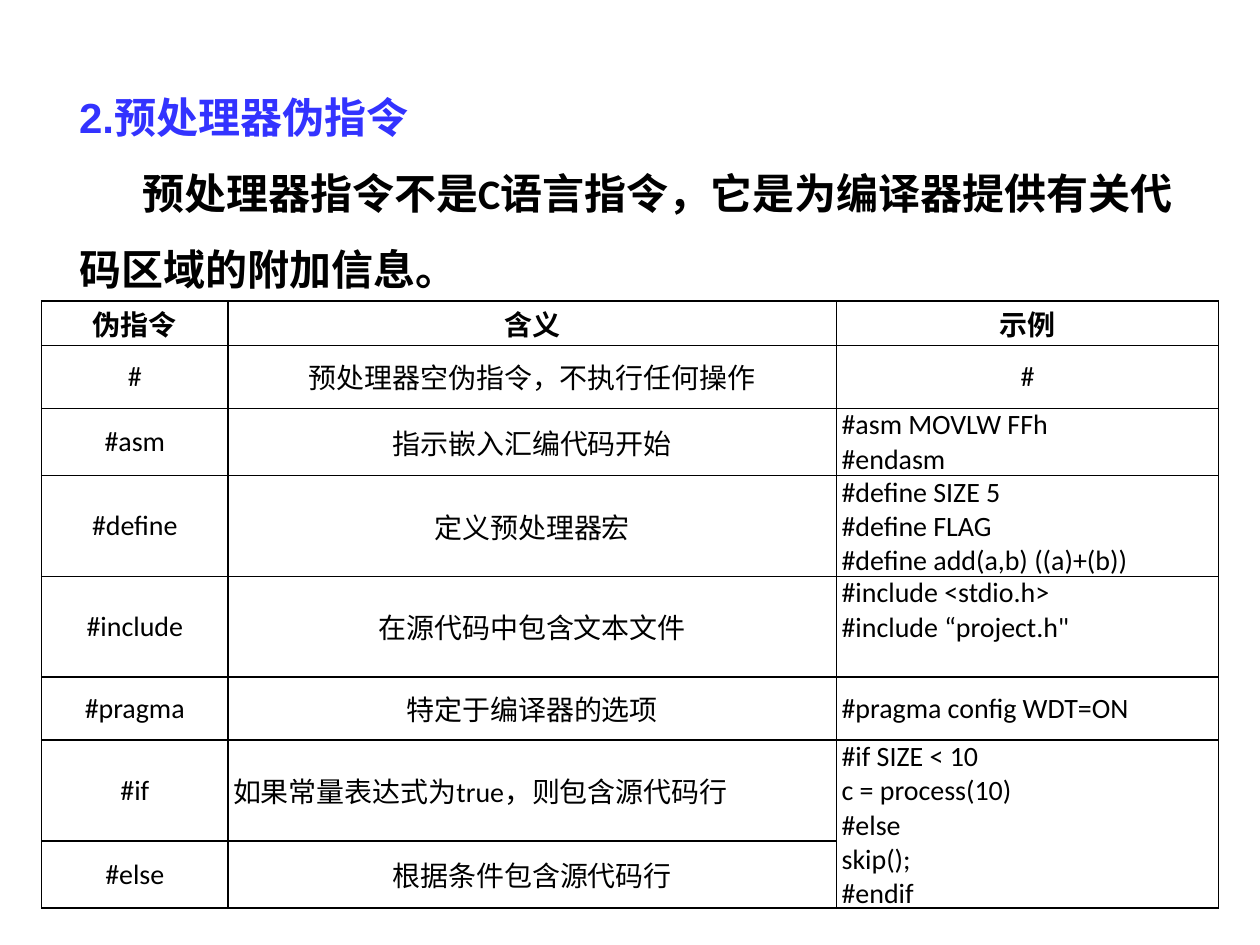
from pptx import Presentation
from pptx.dml.color import RGBColor
from pptx.enum.text import MSO_ANCHOR as Anchor, MSO_AUTO_SIZE as AutoSize, PP_ALIGN as Align
from pptx.oxml import parse_xml
from pptx.oxml.ns import nsdecls
from pptx.util import Inches, Pt

COLORS = {"heading": "3333FF", "text": "000000", "border": "000000"}
HEADING = {"size": Pt(24), "bold": True, "name": "Arial"}
BODY = {"size": Pt(24), "bold": True, "name": "Calibri"}
TABLE_HEAD = {"size": Pt(16), "bold": True, "name": "Calibri"}
TABLE_BODY = {"size": Pt(16), "bold": False, "name": "Calibri"}
CELL = {"margin_left": Inches(0.04), "margin_right": Inches(0.04),
        "margin_top": 0, "margin_bottom": 0}

# Boxes in inches: left, top, width, height
INTRO_BOX = (0.53, 0.48, 9.02, 1.82)
TABLE_BOX = (0.33, 2.39, 9.34, 4.81)
COL_WIDTHS = (1.48, 4.83, 3.03)
ROW_HEIGHTS = (0.35, 0.5, 0.53, 0.8, 0.8, 0.5, 0.8, 0.53)

INTRO = [
    ("2.预处理器伪指令", HEADING, "heading"),
    ("\t预处理器指令不是C语言指令，它是为编译器提供有关代码区域的附加信息。", BODY, "text"),
]
ROWS = [
    ("伪指令", "含义", "示例"),
    ("#", "预处理器空伪指令，不执行任何操作", "#"),
    ("#asm", "指示嵌入汇编代码开始", "#asm MOVLW FFh\n#endasm"),
    ("#define", "定义预处理器宏",
     "#define SIZE 5\n#define FLAG\n#define add(a,b) ((a)+(b))"),
    ("#include", "在源代码中包含文本文件", "#include <stdio.h>\n#include “project.h\""),
    ("#pragma", "特定于编译器的选项", "#pragma config WDT=ON"),
    ("#if", "如果常量表达式为true，则包含源代码行",
     "#if SIZE < 10\nc = process(10)\n#else\nskip();\n#endif"),
    ("#else", "根据条件包含源代码行", ""),
]
IF_ROW, INCLUDE_ROW, EXAMPLE_COL = 6, 4, 2
LEFT_ALIGNED = {(r, EXAMPLE_COL) for r in range(2, 7)} | {(IF_ROW, 1)}


def set_attrs(obj, values):
    for name, value in values.items():
        setattr(obj, name, value)


def add_run(p, text, font, color):
    r = p.add_run()
    r.text = text
    set_attrs(r.font, font)
    r.font.color.rgb = RGBColor.from_string(COLORS[color])


def add_borders(cell):
    tc_pr = cell._tc.get_or_add_tcPr()
    for i, side in enumerate(("lnL", "lnR", "lnT", "lnB")):
        tc_pr.insert(i, parse_xml(
            f'<a:{side} {nsdecls("a")} w="12700"><a:solidFill>'
            f'<a:srgbClr val="{COLORS["border"]}"/></a:solidFill></a:{side}>'))


def add_intro(s, box):
    tf = s.shapes.add_textbox(*map(Inches, box)).text_frame
    tf.word_wrap = True
    tf.auto_size = AutoSize.SHAPE_TO_FIT_TEXT
    for i, (text, font, color) in enumerate(INTRO):
        p = tf.add_paragraph() if i else tf.paragraphs[0]
        p.line_spacing = 1.5
        add_run(p, text, font, color)


def fill_cell(cell, text, font, align):
    set_attrs(cell, CELL)
    cell.vertical_anchor = Anchor.MIDDLE
    cell.fill.background()
    add_borders(cell)
    if not text:
        return
    for i, line in enumerate(text.split("\n")):
        p = cell.text_frame.add_paragraph() if i else cell.text_frame.paragraphs[0]
        p.alignment = align
        add_run(p, line, font, "text")


def add_directive_table(s, box):
    table = s.shapes.add_table(len(ROWS), len(COL_WIDTHS), *map(Inches, box)).table
    table.horz_banding = False
    for col, width in zip(table.columns, COL_WIDTHS):
        col.width = Inches(width)
    for row, height in zip(table.rows, ROW_HEIGHTS):
        row.height = Inches(height)
    for r, texts in enumerate(ROWS):
        for c, text in enumerate(texts):
            align = Align.LEFT if (r, c) in LEFT_ALIGNED else Align.CENTER
            fill_cell(table.cell(r, c), text, TABLE_BODY if r else TABLE_HEAD, align)
    # The two include lines sit at the top of their row
    table.cell(INCLUDE_ROW, EXAMPLE_COL).vertical_anchor = Anchor.TOP
    # One example covers both #if and #else
    table.cell(IF_ROW, EXAMPLE_COL).merge(table.cell(IF_ROW + 1, EXAMPLE_COL))


def main():
    prs = Presentation()
    prs.slide_width, prs.slide_height = Inches(10), Inches(7.5)
    s = prs.slides.add_slide(prs.slide_layouts[6])
    add_intro(s, INTRO_BOX)
    add_directive_table(s, TABLE_BOX)
    prs.save("out.pptx")


if __name__ == "__main__":
    main()
